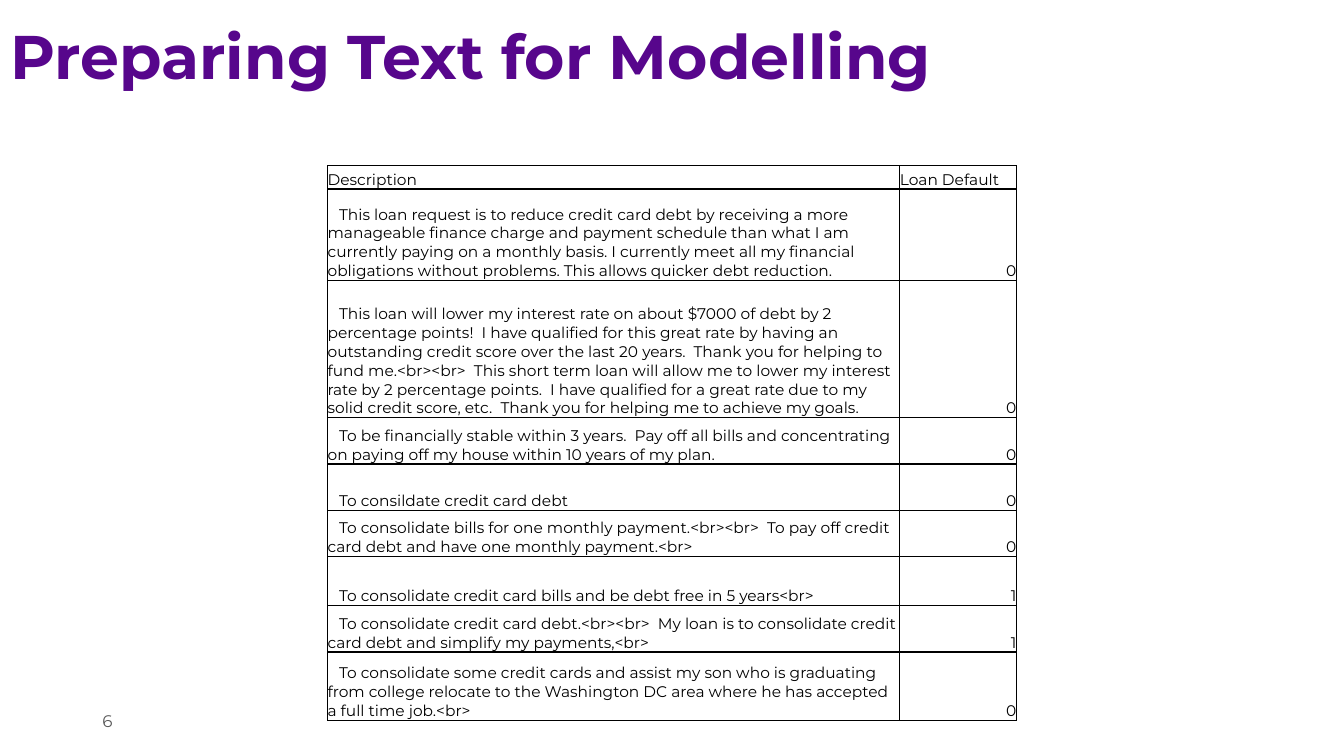
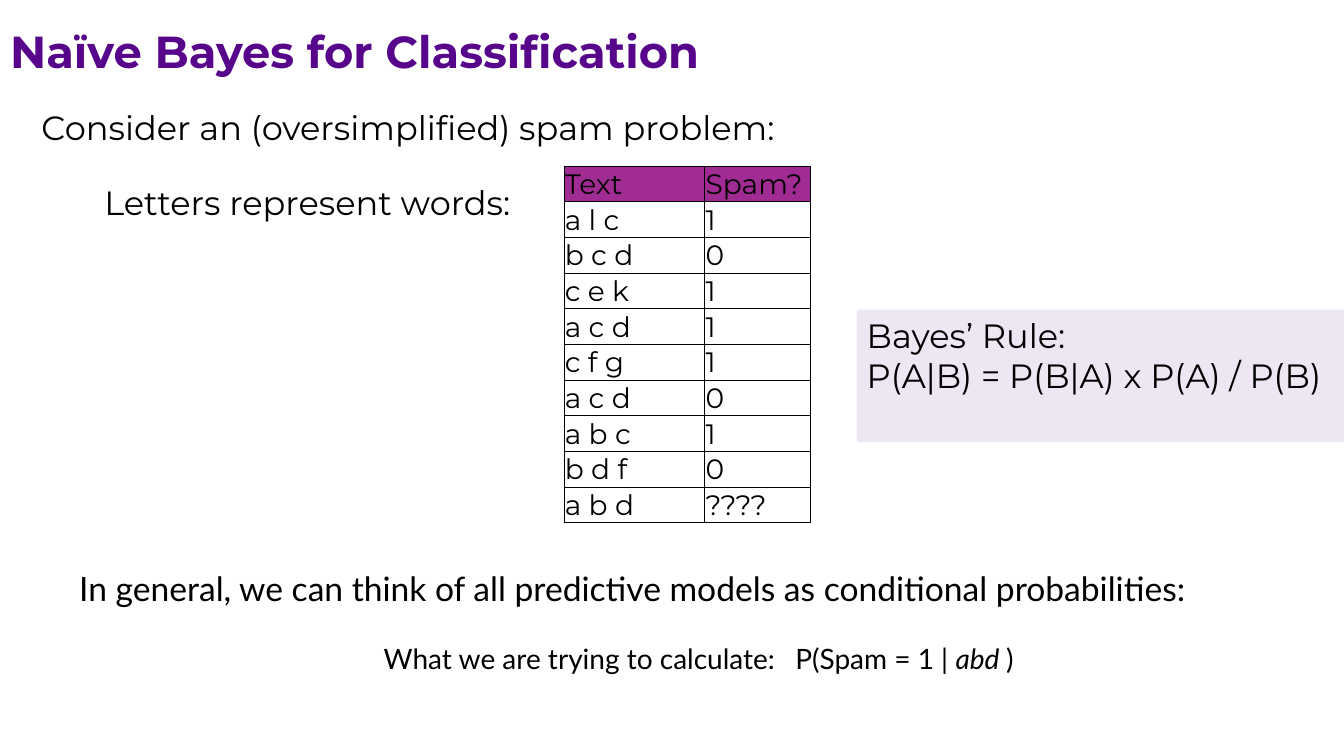
from dataclasses import dataclass

from lxml import etree
from pptx import Presentation
from pptx.dml.color import RGBColor
from pptx.enum.shapes import MSO_SHAPE
from pptx.enum.text import MSO_ANCHOR, MSO_AUTO_SIZE, PP_ALIGN
from pptx.oxml.ns import qn
from pptx.util import Pt

PX = 9525  # EMU in one px, 96 px to the inch
SLIDE_WIDTH, SLIDE_HEIGHT = 1280, 720
TITLE_ONLY_LAYOUT = 5
FIRST_SLIDE_NUMBER = 6


@dataclass(frozen=True)
class Theme:
    heading: str = "Montserrat"
    body: str = "Lato"
    purple: str = "57068C"
    magenta: str = "A02B93"
    lilac: str = "EEE6F3"
    black: str = "000000"
    white: str = "FFFFFF"
    grey: str = "595959"
    big_title: int = 44
    title: int = 32
    text: int = 24
    small_text: int = 20
    page_number: int = 12
    data: int = 11


THEME = Theme()

LOANS = [
    ("This loan request is to reduce credit card debt by receiving a more manageable "
     "finance charge and payment schedule than what I am currently paying on a monthly "
     "basis. I currently meet all my financial obligations without problems. This allows "
     "quicker debt reduction.", "0"),
    ("This loan will lower my interest rate on about $7000 of debt by 2 percentage points!  "
     "I have qualified for this great rate by having an outstanding credit score over the "
     "last 20 years.  Thank you for helping to fund me.<br><br>  This short term loan will "
     "allow me to lower my interest rate by 2 percentage points.  I have qualified for a "
     "great rate due to my solid credit score, etc.  Thank you for helping me to achieve my "
     "goals.", "0"),
    ("To be financially stable within 3 years.  Pay off all bills and concentrating on "
     "paying off my house within 10 years of my plan.", "0"),
    ("To consildate credit card debt", "0"),
    ("To consolidate bills for one monthly payment.<br><br>  To pay off credit card debt "
     "and have one monthly payment.<br>", "0"),
    ("To consolidate credit card bills and be debt free in 5 years<br>", "1"),
    ("To consolidate credit card debt.<br><br>  My loan is to consolidate credit card debt "
     "and simplify my payments,<br>", "1"),
    ("To consolidate some credit cards and assist my son who is graduating from college "
     "relocate to the Washington DC area where he has accepted a full time job.<br>", "0"),
]
LOAN_ROW_HEIGHTS = [22, 87, 131, 44, 44, 44, 47, 44, 65]

MESSAGES = [
    ("a l c", "1"), ("b c d", "0"), ("c e k", "1"), ("a c d", "1"), ("c f g", "1"),
    ("a c d", "0"), ("a b c", "1"), ("b d f", "0"), ("a b d", "????"),
]
MESSAGE_ROW_HEIGHT = 34


def px(*lengths):
    return [length * PX for length in lengths]


def apply(target, **values):
    for key, value in values.items():
        setattr(target, key, value)


def style(font, size, color=THEME.black, name=THEME.heading, bold=False, italic=False):
    apply(font, name=name, size=Pt(size), bold=bold, italic=italic)
    font.color.rgb = RGBColor.from_string(color)


def write(paragraph, text, size, **font_values):
    run = paragraph.add_run()
    run.text = text
    style(run.font, size, **font_values)


def add_titled_slide(prs, text, box, size):
    slide = prs.slides.add_slide(prs.slide_layouts[TITLE_ONLY_LAYOUT])
    title = slide.shapes.title
    apply(title, **dict(zip(("left", "top", "width", "height"), px(*box))))
    apply(title.text_frame, word_wrap=True, auto_size=MSO_AUTO_SIZE.NONE,
          vertical_anchor=MSO_ANCHOR.MIDDLE)
    paragraph = title.text_frame.paragraphs[0]
    apply(paragraph, alignment=PP_ALIGN.LEFT, line_spacing=0.9)
    write(paragraph, text, size, color=THEME.purple, bold=True)
    return slide


def add_text_frame(slide, box, wrap=True, anchor=MSO_ANCHOR.TOP):
    frame = slide.shapes.add_textbox(*px(*box)).text_frame
    apply(frame, word_wrap=wrap, vertical_anchor=anchor)
    return frame


def add_line_of_text(slide, text, box):
    frame = add_text_frame(slide, box, wrap=False)
    write(frame.paragraphs[0], text, THEME.text)


def add_page_number(slide, number, box):
    paragraph = add_text_frame(slide, box, anchor=MSO_ANCHOR.MIDDLE).paragraphs[0]
    write(paragraph, str(number), THEME.page_number, color=THEME.grey)
    run = paragraph.runs[0]._r
    field = etree.Element(qn("a:fld"), type="slidenum",
                          id="{B6F15528-21DE-4FAA-801E-634DDDAF4B2B}")
    run.addprevious(field)
    field.extend(list(run))
    paragraph._p.remove(run)


def add_borders(cell, width):
    properties = cell._tc.get_or_add_tcPr()
    for side in ("lnL", "lnR", "lnT", "lnB"):
        line = etree.SubElement(properties, qn(f"a:{side}"), w=str(Pt(width)))
        fill = etree.SubElement(line, qn("a:solidFill"))
        etree.SubElement(fill, qn("a:srgbClr"), val=THEME.black)


def paint(cell, color):
    if color is None:
        cell.fill.background()
    else:
        cell.fill.solid()
        cell.fill.fore_color.rgb = RGBColor.from_string(color)


def add_data_table(slide, origin, columns, heights, rows, size, border, header_fill,
                   body_fill=None, inset=0, indent=0, last_align=PP_ALIGN.LEFT):
    """Rows start with the header; indent and last_align apply to the body only."""
    frame = slide.shapes.add_table(len(rows), len(columns),
                                   *px(*origin, sum(columns), sum(heights)))
    table = frame.table
    apply(table, first_row=False, horz_banding=False)
    for column, width in zip(table.columns, columns):
        column.width = width * PX
    for row, height in zip(table.rows, heights):
        row.height = height * PX
    for r, values in enumerate(rows):
        for c, value in enumerate(values):
            cell = table.cell(r, c)
            apply(cell, margin_left=inset * PX, margin_right=inset * PX,
                  margin_top=inset * PX, margin_bottom=0,
                  vertical_anchor=MSO_ANCHOR.BOTTOM)
            add_borders(cell, border)
            paint(cell, body_fill if r else header_fill)
            paragraph = cell.text_frame.paragraphs[0]
            if r and c == len(columns) - 1:
                paragraph.alignment = last_align
            elif r and indent:
                paragraph._p.get_or_add_pPr().set("indent", str(indent * PX))
            write(paragraph, value, size)


def add_panel(slide, lines, box, color):
    panel = slide.shapes.add_shape(MSO_SHAPE.RECTANGLE, *px(*box))
    panel.shadow.inherit = False
    panel.fill.solid()
    panel.fill.fore_color.rgb = RGBColor.from_string(color)
    panel.line.fill.background()
    frame = panel.text_frame
    apply(frame, word_wrap=True, vertical_anchor=MSO_ANCHOR.TOP)
    for i, line in enumerate(lines):
        paragraph = frame.add_paragraph() if i else frame.paragraphs[0]
        paragraph.alignment = PP_ALIGN.LEFT
        write(paragraph, line, THEME.text)


def set_tab_stops(paragraph, *positions):
    stops = etree.SubElement(paragraph._p.get_or_add_pPr(), qn("a:tabLst"))
    for position in positions:
        etree.SubElement(stops, qn("a:tab"), pos=str(position * PX), algn="l")


def add_probability_note(slide, box):
    frame = add_text_frame(slide, box)
    write(frame.paragraphs[0],
          "In general, we can think of all predictive models as conditional probabilities:",
          THEME.text, name=THEME.body)
    goal = frame.add_paragraph()
    set_tab_stops(goal, 290, 682)
    goal.space_before = Pt(24)
    for text, italic in (("\tWhat we are trying to calculate:\tP(Spam = 1 | ", False),
                         ("abd ", True), (")", False)):
        write(goal, text, THEME.small_text, name=THEME.body, italic=italic)


def build_loan_slide(prs):
    slide = add_titled_slide(prs, "Preparing Text for Modelling", (0, 4, 1104, 106),
                             THEME.big_title)
    add_page_number(slide, FIRST_SLIDE_NUMBER, (88, 667, 142, 38))
    add_data_table(slide, (312, 158), (545, 111), LOAN_ROW_HEIGHTS,
                   [("Description", "Loan Default"), *LOANS], THEME.data, border=1,
                   header_fill=THEME.white, body_fill=THEME.white, indent=11,
                   last_align=PP_ALIGN.RIGHT)


def build_bayes_slide(prs):
    slide = add_titled_slide(prs, "Naïve Bayes for Classification", (0, 3, 856, 96),
                             THEME.title)
    rows = [("Text", "Spam?"), *MESSAGES]
    add_data_table(slide, (537, 158), (134, 101), [MESSAGE_ROW_HEIGHT] * len(rows), rows,
                   THEME.small_text, border=0.5, header_fill=THEME.magenta, inset=1)
    add_line_of_text(slide, "Consider an (oversimplified) spam problem:", (30, 97, 719, 48))
    add_line_of_text(slide, "Letters represent words:", (90, 169, 413, 48))
    add_probability_note(slide, (66, 536, 1151, 145))
    add_panel(slide, ("Bayes’ Rule:", "P(A|B) = P(B|A) x P(A) / P(B)"),
              (816, 295, 464, 126), THEME.lilac)


def main():
    prs = Presentation()
    apply(prs, slide_width=SLIDE_WIDTH * PX, slide_height=SLIDE_HEIGHT * PX)
    prs.element.set("firstSlideNum", str(FIRST_SLIDE_NUMBER))
    build_loan_slide(prs)
    build_bayes_slide(prs)
    prs.save("out.pptx")


if __name__ == "__main__":
    main()
